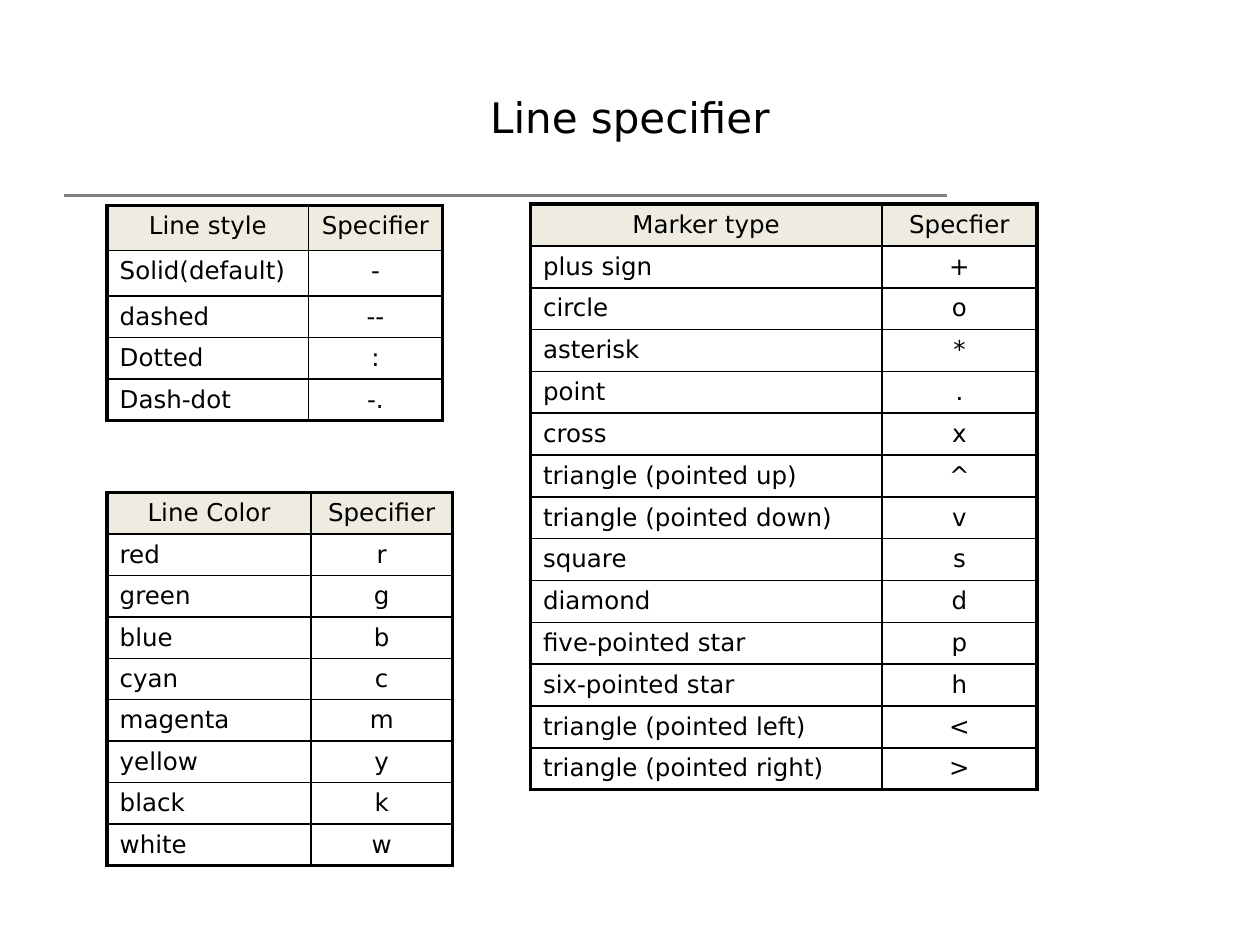
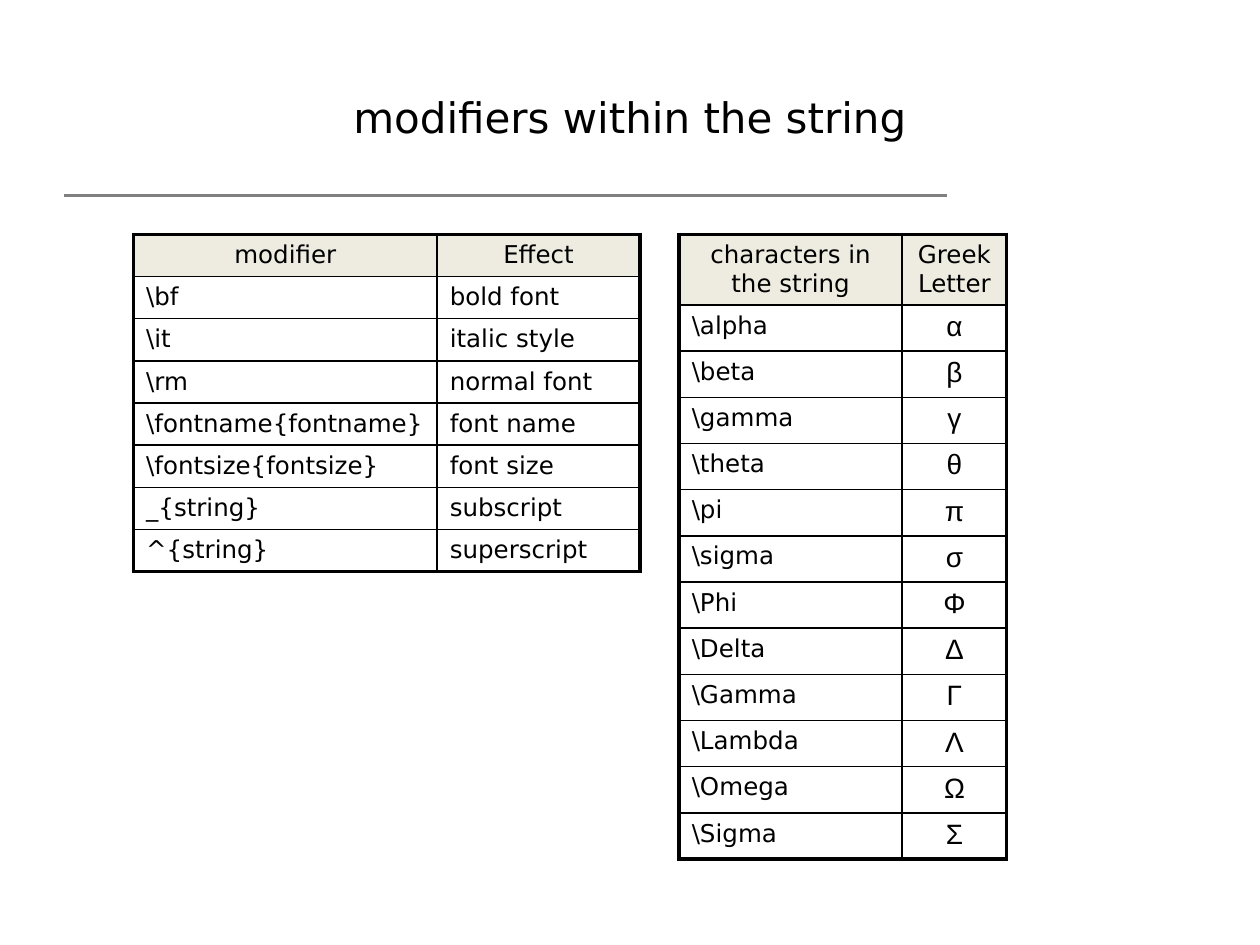
from dataclasses import dataclass

from lxml import etree
from pptx import Presentation
from pptx.dml.color import RGBColor
from pptx.enum.shapes import MSO_CONNECTOR
from pptx.enum.text import MSO_ANCHOR, PP_ALIGN
from pptx.oxml.ns import qn
from pptx.util import Inches, Pt

STRAIGHT = MSO_CONNECTOR.STRAIGHT
MIDDLE = MSO_ANCHOR.MIDDLE
LEFT, CENTER = PP_ALIGN.LEFT, PP_ALIGN.CENTER
TITLE_ONLY = 5


@dataclass(frozen=True)
class Theme:
    ink: RGBColor = RGBColor(0, 0, 0)
    rule: RGBColor = RGBColor(0x80, 0x80, 0x80)
    header: RGBColor = RGBColor(0xEE, 0xEC, 0xE1)
    font: str = "DejaVu Sans"
    greek_font: str = "Arial"
    title_size: int = 24
    table_size: int = 14
    greek_size: int = 16
    rule_width: float = 1.75
    outer_border: float = 2.25
    inner_border: float = 1


THEME = Theme()

LINE_STYLES = [
    ("Line style", "Specifier"),
    ("Solid(default)", "-"),
    ("dashed", "--"),
    ("Dotted", ":"),
    ("Dash-dot", "-."),
]
LINE_COLORS = [
    ("Line Color", "Specifier"),
    ("red", "r"),
    ("green", "g"),
    ("blue", "b"),
    ("cyan", "c"),
    ("magenta", "m"),
    ("yellow", "y"),
    ("black", "k"),
    ("white", "w"),
]
MARKERS = [
    ("Marker type", "Specfier"),
    ("plus sign", "+"),
    ("circle", "o"),
    ("asterisk", "*"),
    ("point", "."),
    ("cross", "x"),
    ("triangle (pointed up)", "^"),
    ("triangle (pointed down)", "v"),
    ("square", "s"),
    ("diamond", "d"),
    ("five-pointed star", "p"),
    ("six-pointed star", "h"),
    ("triangle (pointed left)", "<"),
    ("triangle (pointed right)", ">"),
]
MODIFIERS = [
    ("modifier", "Effect"),
    (r"\bf", "bold font"),
    (r"\it", "italic style"),
    (r"\rm", "normal font"),
    (r"\fontname{fontname}", "font name"),
    (r"\fontsize{fontsize}", "font size"),
    ("_{string}", "subscript"),
    ("^{string}", "superscript"),
]
GREEK_LETTERS = [
    ("characters in the string", "Greek Letter"),
    (r"\alpha", "α"),
    (r"\beta", "β"),
    (r"\gamma", "γ"),
    (r"\theta", "θ"),
    (r"\pi", "π"),
    (r"\sigma", "σ"),
    (r"\Phi", "Φ"),
    (r"\Delta", "Δ"),
    (r"\Gamma", "Γ"),
    (r"\Lambda", "Λ"),
    (r"\Omega", "Ω"),
    (r"\Sigma", "Σ"),
]


def set_font(para, name, size):
    para.font.name = name
    para.font.size = Pt(size)
    para.font.color.rgb = THEME.ink


def set_borders(cell, outer_sides):
    properties = cell._tc.get_or_add_tcPr()
    for side in "LRTB":
        width = THEME.outer_border if side in outer_sides else THEME.inner_border
        line = etree.SubElement(properties, qn(f"a:ln{side}"), w=str(Pt(width)))
        fill = etree.SubElement(line, qn("a:solidFill"))
        etree.SubElement(fill, qn("a:srgbClr"), val=str(THEME.ink))


def add_page(deck, title):
    page = deck.slides.add_slide(deck.slide_layouts[TITLE_ONLY])
    rule = page.shapes.add_connector(
        STRAIGHT, Inches(0.51), Inches(1.55), Inches(7.52), Inches(1.55))
    rule.line.color.rgb = THEME.rule
    rule.line.width = Pt(THEME.rule_width)
    etree.SubElement(rule._element.spPr, qn("a:effectLst"))

    box = page.shapes.title
    box.left, box.top = Inches(0.5), Inches(0.3)
    box.width, box.height = Inches(9), Inches(1.25)
    box.text_frame.text = title
    box.text_frame.vertical_anchor = MIDDLE
    para = box.text_frame.paragraphs[0]
    para.alignment = CENTER
    set_font(para, THEME.font, THEME.title_size)
    return page


def add_lookup_table(page, left, top, widths, heights, entries,
                     value_align=CENTER, value_font=THEME.font,
                     value_size=THEME.table_size):
    table = page.shapes.add_table(
        len(entries), len(widths), Inches(left), Inches(top),
        Inches(sum(widths)), Inches(sum(heights))).table
    table.first_row = table.horz_banding = False
    for column, width in zip(table.columns, widths):
        column.width = Inches(width)
    for row, height in zip(table.rows, heights):
        row.height = Inches(height)

    last = len(entries) - 1
    for row_index, entry in enumerate(entries):
        is_header = row_index == 0
        vertical_side = "T" if is_header else "B" if row_index == last else ""
        for column_index, text in enumerate(entry):
            is_value = column_index == 1 and not is_header
            cell = table.cell(row_index, column_index)
            set_borders(cell, "LR"[column_index] + vertical_side)
            if is_header:
                cell.fill.solid()
                cell.fill.fore_color.rgb = THEME.header
            else:
                cell.fill.background()
            cell.text = text
            para = cell.text_frame.paragraphs[0]
            if is_value:
                para.alignment = value_align
                set_font(para, value_font, value_size)
            else:
                para.alignment = CENTER if is_header else LEFT
                set_font(para, THEME.font, THEME.table_size)


def even_rows(total, entries):
    return [total / len(entries)] * len(entries)


def build_line_specifiers(deck):
    page = add_page(deck, "Line specifier")
    add_lookup_table(page, 0.85, 1.63, (1.6, 1.06),
                     [0.36] * 2 + [0.33] * 3, LINE_STYLES)
    add_lookup_table(page, 0.85, 3.91, (1.62, 1.12),
                     even_rows(2.96, LINE_COLORS), LINE_COLORS)
    add_lookup_table(page, 4.21, 1.62, (2.79, 1.23),
                     even_rows(4.65, MARKERS), MARKERS)


def build_string_modifiers(deck):
    page = add_page(deck, "modifiers within the string")
    add_lookup_table(page, 1.06, 1.86, (2.41, 1.61),
                     even_rows(2.68, MODIFIERS), MODIFIERS, value_align=LEFT)
    letter_rows = even_rows(4.4, GREEK_LETTERS[1:])
    add_lookup_table(page, 5.39, 1.86, (1.77, 0.83),
                     [0.56] + letter_rows, GREEK_LETTERS,
                     value_font=THEME.greek_font, value_size=THEME.greek_size)


def main():
    deck = Presentation()
    deck.slide_width, deck.slide_height = Inches(10), Inches(7.5)
    build_line_specifiers(deck)
    build_string_modifiers(deck)
    deck.save("out.pptx")


if __name__ == "__main__":
    main()
